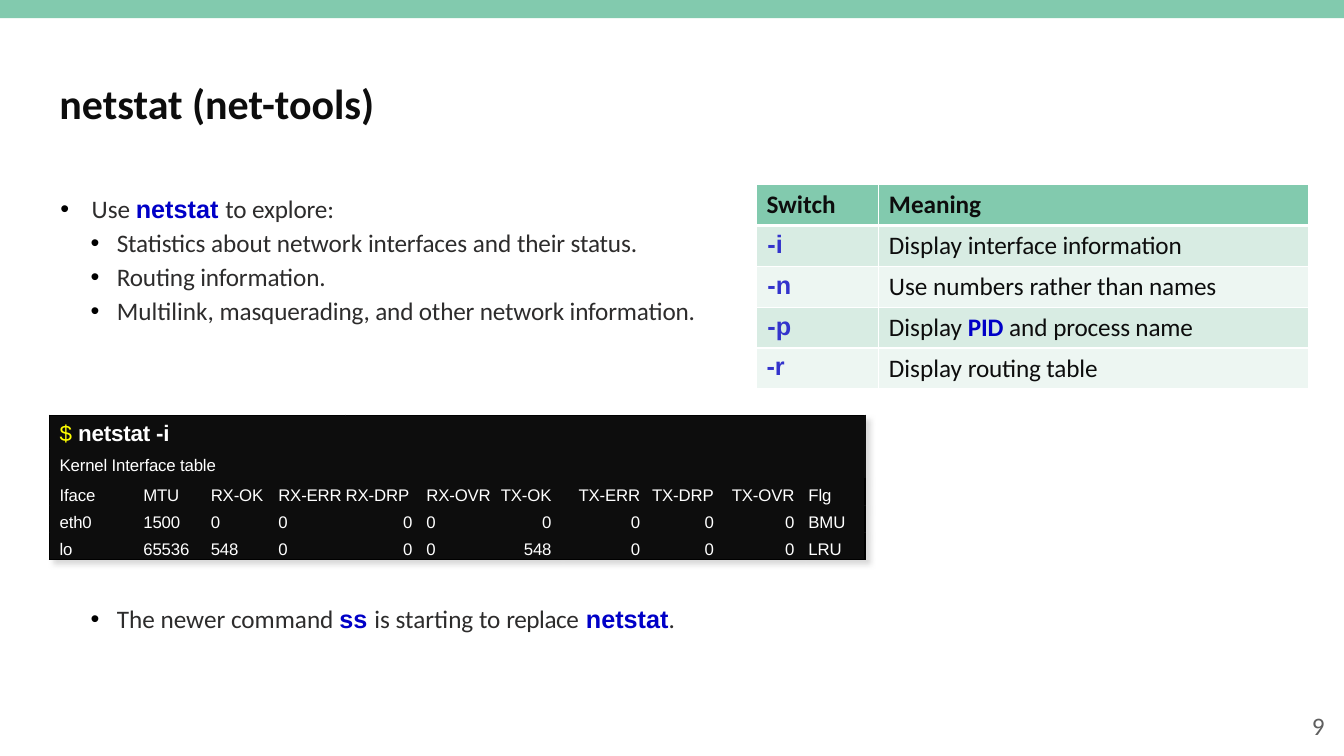
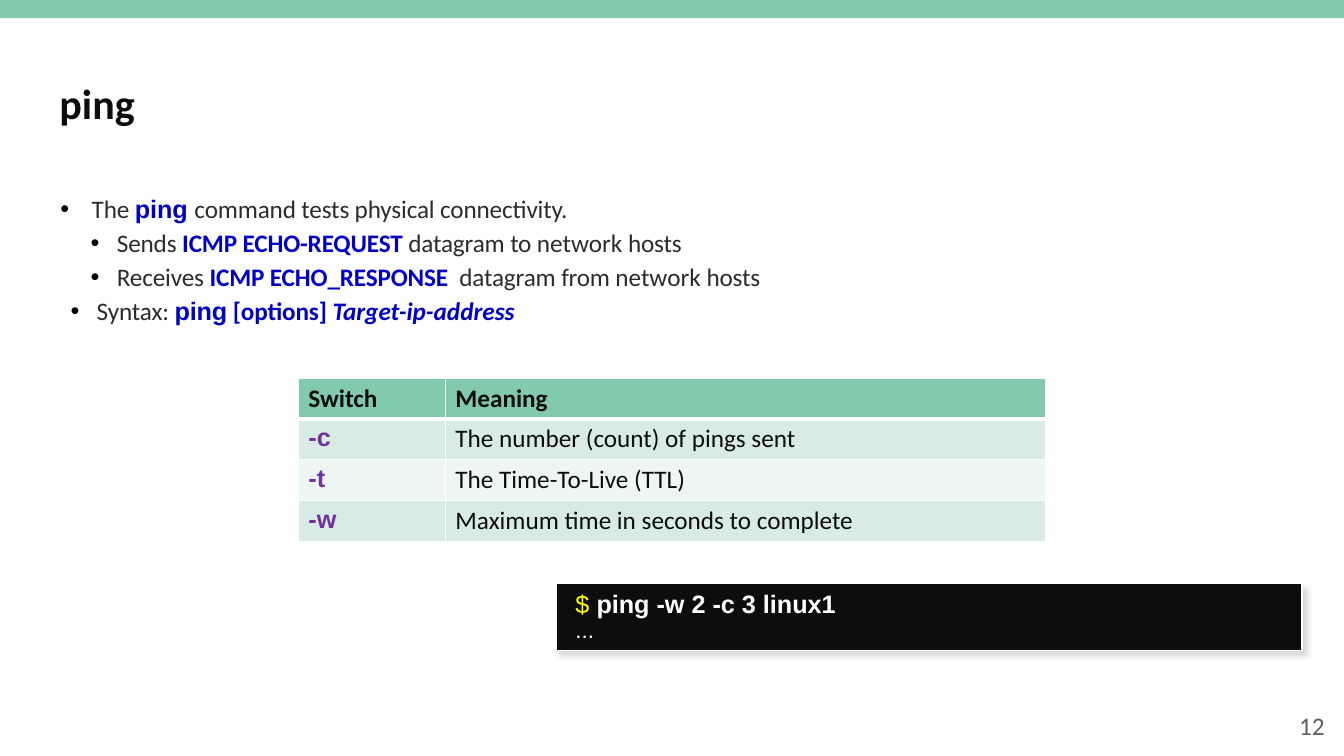
from dataclasses import dataclass
from typing import NamedTuple

from lxml.etree import SubElement as Sub
from pptx import Presentation
from pptx.dml.color import RGBColor as Rgb
from pptx.enum.shapes import MSO_SHAPE as Kind
from pptx.enum.text import MSO_ANCHOR as Anchor, PP_ALIGN as Align
from pptx.oxml.ns import qn
from pptx.util import Pt

MINT = Rgb(0x82, 0xCA, 0xAE)
PALE = Rgb(0xD8, 0xEC, 0xE3)
FAINT = Rgb(0xED, 0xF6, 0xF2)
DARK = Rgb(0x0D, 0x0D, 0x0D)
BLACK = Rgb(0, 0, 0)
WHITE = Rgb(0xFF, 0xFF, 0xFF)
TEXT = Rgb(0x2D, 0x2C, 0x2C)
GREY = Rgb(0x5F, 0x5F, 0x5F)
SHADE = Rgb(0xDA, 0xDA, 0xDA)
BLUE = Rgb(0, 0, 0xC7)
INDIGO = Rgb(0x33, 0x33, 0xCC)
PURPLE = Rgb(0x70, 0x30, 0xA0)
YELLOW = Rgb(0xFF, 0xFF, 0)

WIDE, HIGH = 960, 540
LEFT = 35.4
ROW = 29.2
LINE = 19.2
SIDES = ("lnL", "lnR", "lnT", "lnB")


@dataclass(frozen=True)
class Look:
    size: float
    color: Rgb
    bold: bool = False
    face: str = "Calibri"
    slant: bool = False


TITLE = Look(30, DARK, True)
PAGE = Look(18, GREY)
BODY = Look(18, TEXT)
TERM = Look(18, BLUE, True)
VALUE = Look(18, BLUE, True, slant=True)
CODE = Look(18, BLUE, True, "Arial")
HEAD = Look(18, DARK, True)
CELL = Look(18, DARK)
SMALL = Look(12, WHITE, face="Arial")


class Bit(NamedTuple):
    text: str
    look: Look = BODY
    gap: float = 0


class Level(NamedTuple):
    margin: float
    hang: float


class Item(NamedTuple):
    level: Level
    bits: list[Bit]


class Box(NamedTuple):
    x: float
    y: float
    w: float
    h: float


class Option(NamedTuple):
    flag: str
    bits: list[Bit]
    shift: float = 0


class Column(NamedTuple):
    width: float
    cells: tuple[str, str, str]
    margin: float = 0
    right: bool = False


TOP = Level(23, -22.3)
NEST = Level(41, -18.7)
SYNTAX = Level(26.6, -18.7)


def write(para, bits: list[Bit]) -> None:
    for bit in bits:
        run = para.add_run()
        run.text = bit.text
        font, look = run.font, bit.look
        font.name, font.size = look.face, Pt(look.size)
        font.bold, font.italic = look.bold, look.slant
        font.color.rgb = look.color
        if bit.gap:
            run._r.get_or_add_rPr().set("spc", str(round(bit.gap * 100)))


def tint(parent, color: Rgb) -> None:
    Sub(Sub(parent, qn("a:solidFill")), qn("a:srgbClr")).set("val", str(color))


def shade(effects) -> None:
    cast = Sub(effects, qn("a:outerShdw"))
    for key, val in (("blurRad", Pt(4)), ("dist", Pt(4)), ("dir", 2700000)):
        cast.set(key, str(int(val)))
    cast.set("algn", "tl")
    cast.set("rotWithShape", "0")
    Sub(cast, qn("a:srgbClr")).set("val", str(SHADE))


def block(slide, box: Box, fill: Rgb):
    shape = slide.shapes.add_shape(Kind.RECTANGLE, *map(Pt, box))
    shape.shadow.inherit = False
    shape.fill.solid()
    shape.fill.fore_color.rgb = fill
    shape.line.fill.background()
    return shape


def label(slide, box: Box, bits: list[Bit], align=Align.LEFT) -> None:
    frame = slide.shapes.add_textbox(*map(Pt, box)).text_frame
    frame.word_wrap = True
    frame.vertical_anchor = Anchor.MIDDLE
    para = frame.paragraphs[0]
    para.alignment = align
    write(para, bits)


def bullets(slide, box: Box, items: list[Item]) -> None:
    frame = slide.shapes.add_textbox(*map(Pt, box)).text_frame
    frame.word_wrap = True
    for num, item in enumerate(items):
        para = frame.add_paragraph() if num else frame.paragraphs[0]
        para.line_spacing = 0.9
        para.space_before = Pt(4.9 if num else 0)
        props = para._p.get_or_add_pPr()
        props.set("marL", str(Pt(item.level.margin)))
        props.set("indent", str(Pt(item.level.hang)))
        Sub(Sub(props, qn("a:buClr")), qn("a:srgbClr")).set("val", str(BLACK))
        Sub(props, qn("a:buFont")).set("typeface", "Arial")
        Sub(props, qn("a:buChar")).set("char", "•")
        write(para, item.bits)


def grid(slide, x: float, y: float, widths: list[float], heights: list[float]):
    table = slide.shapes.add_table(
        len(heights), len(widths), Pt(x), Pt(y), Pt(sum(widths)), Pt(sum(heights))
    ).table
    table.first_row = table.horz_banding = False
    for part, width in zip(table.columns, widths):
        part.width = Pt(width)
    for part, height in zip(table.rows, heights):
        part.height = Pt(height)
    return table


def paint(cell, fill: Rgb, edges: list[tuple[Rgb, float]]) -> None:
    props = cell._tc.get_or_add_tcPr()
    for side, (color, width) in zip(SIDES, edges):
        edge = Sub(props, qn(f"a:{side}"))
        edge.set("w", str(Pt(width)))
        tint(edge, color)
    cell.fill.solid()
    cell.fill.fore_color.rgb = fill


def switches(slide, x: float, y: float, widths: list[float], color: Rgb,
             options: list[Option]) -> None:
    table = grid(slide, x, y, widths, [ROW] * (len(options) + 1))
    flag = Look(18, color, True, "Arial")
    rows = [([Bit("Switch", HEAD)], [Bit("Meaning", HEAD)], 0)]
    rows += [([Bit(opt.flag, flag)], opt.bits, opt.shift) for opt in options]
    for num, (name, sense, shift) in enumerate(rows):
        fill = (PALE if num % 2 else FAINT) if num else MINT
        edges = [(WHITE, 1), (WHITE, 1), (WHITE, 3 if num == 1 else 1),
                 (WHITE, 1 if num else 3)]
        for col, bits in enumerate((name, sense)):
            cell = table.cell(num, col)
            paint(cell, fill, edges)
            write(cell.text_frame.paragraphs[0], bits)
        table.cell(num, 0).margin_left = Pt(7.2 + shift)


def prompt(text: str, size: float, gap: float = 0) -> list[Bit]:
    return [Bit("$ ", Look(size, YELLOW, face="Arial"), gap),
            Bit(text, Look(size, WHITE, True, "Arial"), gap)]


def console(slide, x: float, y: float, columns: list[Column]) -> None:
    table = grid(slide, x, y, [col.width for col in columns], [23] + [LINE] * 4)
    props = table._tbl.tblPr
    effects = Sub(props, qn("a:effectLst"))
    props.insert(0, effects)
    shade(effects)
    last = len(columns) - 1
    for row in range(5):
        for num, col in enumerate(columns):
            cell = table.cell(row, num)
            outer = (num == 0, num == last, row == 0, row == 4)
            paint(cell, DARK, [(BLACK if out else DARK, 1) for out in outer])
            cell.margin_left = Pt(0 if col.right else col.margin)
            cell.margin_right = Pt(5 if col.right else 0)
            cell.margin_top = cell.margin_bottom = 0
            para = cell.text_frame.paragraphs[0]
            if row:
                para.line_spacing = Pt(LINE)
            if row > 1:
                if col.right:
                    para.alignment = Align.RIGHT
                write(para, [Bit(col.cells[row - 2], SMALL, -0.1)])
    drop = table.cell(2, 4)
    drop.margin_right = 0
    drop.text_frame.paragraphs[0].alignment = Align.LEFT
    table.cell(0, 0).merge(table.cell(0, 3))
    table.cell(1, 0).merge(table.cell(1, 3))
    table.cell(0, 4).merge(table.cell(1, last))
    table.cell(0, 0).margin_top = Pt(4.3)
    write(table.cell(0, 0).text_frame.paragraphs[0], prompt("netstat -i", 16, -0.1))
    write(table.cell(1, 0).text_frame.paragraphs[0],
          [Bit("Kernel Interface table", SMALL, -0.1)])


def command(slide, box: Box, lines: list[list[Bit]]) -> None:
    shape = block(slide, box, DARK)
    shape.line.color.rgb = WHITE
    shape.line.width = Pt(1)
    shade(shape._element.spPr.find(qn("a:effectLst")))
    frame = shape.text_frame
    frame.word_wrap = True
    frame.vertical_anchor = Anchor.TOP
    frame.margin_left, frame.margin_top = Pt(13.7), Pt(7.2)
    frame.margin_bottom = Pt(4.3)
    for num, bits in enumerate(lines):
        para = frame.add_paragraph() if num else frame.paragraphs[0]
        para.alignment = Align.LEFT
        para.line_spacing = Pt(17.6)
        write(para, bits)


def start(deck, title: str, page: int):
    slide = deck.slides.add_slide(deck.slide_layouts[6])
    block(slide, Box(0, 0, WIDE, 13), MINT)
    label(slide, Box(LEFT, 39.6, 890, 67.7), [Bit(title, TITLE)])
    label(slide, Box(737.3, 504, 216, 28.8), [Bit(str(page), PAGE)], Align.RIGHT)
    return slide


def netstat(deck) -> None:
    slide = start(deck, "netstat (net-tools)", 9)
    bullets(slide, Box(LEFT, 136.8, 490, 110), [
        Item(TOP, [Bit("Use "), Bit("netstat ", CODE), Bit("to ", gap=-0.2),
                   Bit("explore:", gap=-0.1)]),
        Item(NEST, [Bit("Statistics ", gap=-0.1), Bit("about network "),
                    Bit("interfaces ", gap=-0.1), Bit("and "),
                    Bit("their status.", gap=-0.1)]),
        Item(NEST, [Bit("Routing information.", gap=-0.1)]),
        Item(NEST, [Bit("Multilink, "),
                    Bit("masquerading, and other network information.", gap=-0.1)]),
    ])
    bullets(slide, Box(LEFT, 429.6, 890, 30), [
        Item(NEST, [Bit("The newer command "), Bit("ss ", CODE),
                    Bit("is starting to "), Bit("replace", gap=-0.3),
                    Bit(" netstat", CODE), Bit(".", gap=-0.3)]),
    ])
    console(slide, LEFT, 296.6, [
        Column(59.8, ("Iface", "eth0", "lo"), 7.2),
        Column(48.2, ("MTU", "1500", "65536"), 7.2),
        Column(48.2, ("RX-OK", "0", "548"), 7.2),
        Column(55.4, ("RX-ERR", "0", "0"), 7.2),
        Column(52.6, ("RX-DRP", "0", "0"), right=True),
        Column(53.3, ("RX-OVR", "0", "0"), 5),
        Column(46.1, ("TX-OK", "0", "548"), right=True),
        Column(63.4, ("TX-ERR", "0", "0"), right=True),
        Column(52.6, ("TX-DRP", "0", "0"), right=True),
        Column(57.6, ("TX-OVR", "0", "0"), right=True),
        Column(45.4, ("Flg", "BMU", "LRU"), 5),
    ])
    show = Bit("Display ", CELL)
    switches(slide, 540.3, 131.8, [87.5, 307.2], INDIGO, [
        Option("-i", [show, Bit("interface information", CELL, -0.1)], 0.7),
        Option("-n", [Bit("Use numbers ", CELL),
                      Bit("rather than names", CELL, -0.1)], 0.7),
        Option("-p", [show, Bit("PID ", TERM, -0.1), Bit("and ", CELL),
                      Bit("process name", CELL, -0.1)], 0.7),
        Option("-r", [show, Bit("routing table", CELL, -0.1)]),
    ])


def ping(deck) -> None:
    slide = start(deck, "ping", 12)
    tail = [Bit("network "), Bit("hosts", gap=-0.1)]
    data = Bit("datagram ", gap=-0.1)
    bullets(slide, Box(LEFT, 136.8, 890, 110), [
        Item(TOP, [Bit("The ", gap=-0.1), Bit("ping ", CODE, -0.1),
                   Bit("command tests physical connectivity.", gap=-0.1)]),
        Item(NEST, [Bit("Sends ", gap=-0.1), Bit("ICMP ECHO-REQUEST ", TERM, -0.1),
                    data, Bit("to ", gap=-0.2), *tail]),
        Item(NEST, [Bit("Receives ", gap=-0.1), Bit("ICMP ECHO_RESPONSE  ", TERM, -0.1),
                    data, Bit("from ", gap=-0.2), *tail]),
        Item(SYNTAX, [Bit("Syntax: ", gap=-0.1), Bit("ping", CODE, -0.1),
                      Bit(" [options] ", TERM, -0.1), Bit("Target-ip-address", VALUE)]),
    ])
    command(slide, Box(397.4, 416.9, 532.8, 48),
            [prompt("ping -w 2 -c 3 linux1", 18),
             [Bit("...", Look(16, WHITE, face="Arial"))]])
    switches(slide, 213.1, 270, [105, 428.4], PURPLE, [
        Option("-c", [Bit("The number (count) of pings sent", CELL)]),
        Option("-t", [Bit("The Time-To-Live (TTL)", CELL)]),
        Option("-w", [Bit("Maximum time in seconds to complete", CELL)]),
    ])


def main() -> None:
    deck = Presentation()
    deck.slide_width, deck.slide_height = Pt(WIDE), Pt(HIGH)
    netstat(deck)
    ping(deck)
    deck.save("out.pptx")


if __name__ == "__main__":
    main()
